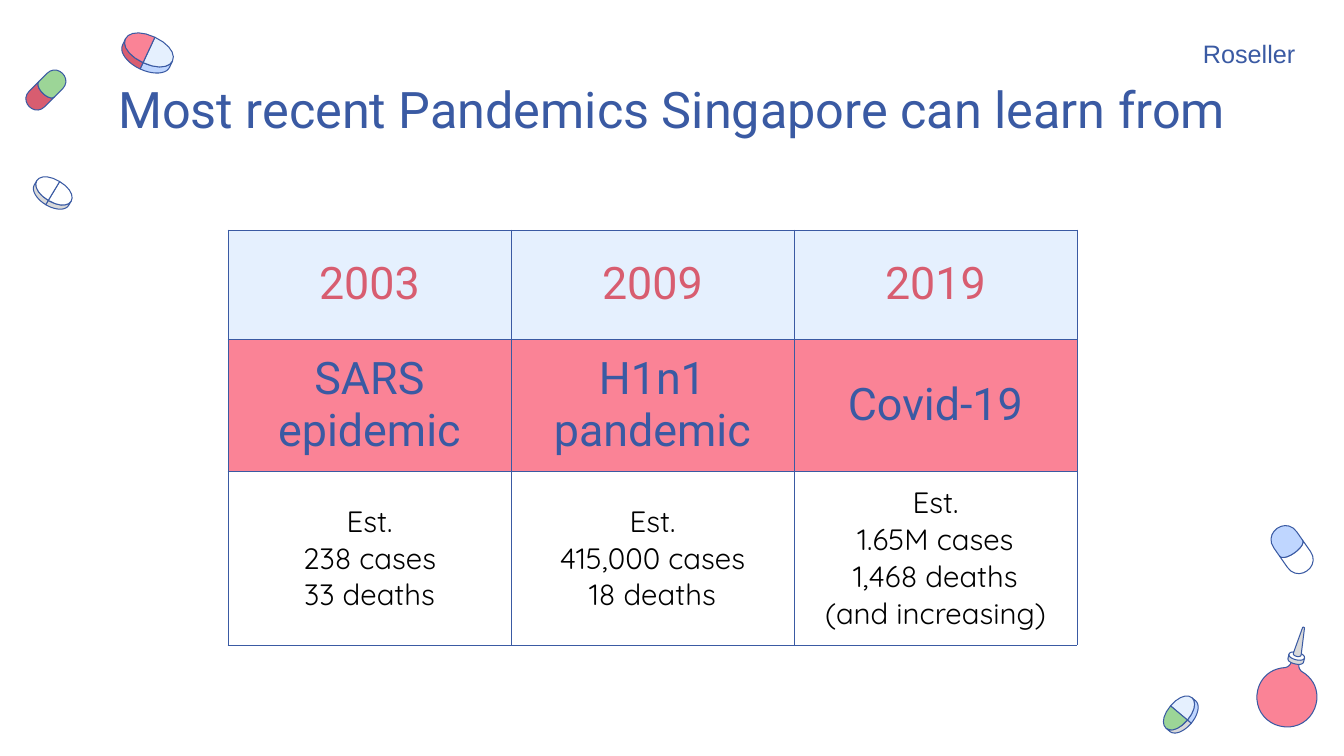
import math

from lxml import etree
from pptx import Presentation
from pptx import util as u
from pptx.dml.color import RGBColor
from pptx.enum import text
from pptx.oxml import ns

NAVY = RGBColor(0x3A, 0x5A, 0xA3)
PINK = RGBColor(0xFA, 0x83, 0x96)
ROSE = RGBColor(0xD8, 0x5D, 0x70)
PALE = RGBColor(0xE5, 0xF0, 0xFE)
SKY = RGBColor(0xBF, 0xD6, 0xFF)
GREEN = RGBColor(0x9C, 0xD5, 0x97)
GREY = RGBColor(0xD9, 0xD9, 0xD9)
WHITE = RGBColor(0xFF, 0xFF, 0xFF)
BLACK = RGBColor(0, 0, 0)

TITLE = "Most recent Pandemics Singapore can learn from"
AUTHOR = "Roseller"
PANDEMICS = [
    ("2003", "SARS epidemic", "Est.\n238 cases\n33 deaths"),
    ("2009", "H1n1 pandemic", "Est.\n415,000 cases\n18 deaths"),
    ("2019", "Covid-19", "Est.\n1.65M cases\n1,468 deaths\n(and increasing)"),
]
# height, fill, font, size, text colour
ROWS = [
    (109, PALE, "Roboto", 32, ROSE),
    (132, PINK, "Roboto", 32, NAVY),
    (174, None, "Quicksand", 21, BLACK),
]
COLUMN_WIDTH, CELL_MARGIN = 283, 13

# centre, angle, half length, half height, depth, (face, side) right and left
TABLETS = [
    ((149, 50), 25, 26, 14, 7, (PALE, SKY), (PINK, ROSE)),
    ((54, 191), 31, 20, 11, 5, (WHITE, GREY), (WHITE, GREY)),
    ((1179, 713), -50, 20, 11, 5, (PALE, SKY), (GREEN, GREY)),
]
# centre of seam, angle, half width, cap length, body length, cap and body fill
CAPSULES = [
    ((1291, 548), -35, 14, 10, 14, SKY, WHITE),
    ((47, 89), 45, 11, 11, 14, GREEN, ROSE),
]
# Each step is one point for a line or three points for a curve.
BULB_CENTRE, BULB_ANGLE = (1287, 697), 13.5
BULB_PARTS = [
    (PINK, (4, -35), [
        [(4, -32), (6, -29), (9, -28)], [(22, -24), (30, -13), (30, 0)],
        [(30, 17), (17, 30), (0, 30)], [(-17, 30), (-30, 17), (-30, 0)],
        [(-30, -13), (-22, -24), (-9, -28)], [(-6, -29), (-4, -32), (-4, -35)],
    ]),
    (GREY, (-8, -42), [
        [(-8, -38)], [(-8, -35), (-4, -34), (0, -34)],
        [(4, -34), (8, -35), (8, -38)], [(8, -42)],
        [(8, -39), (-8, -39), (-8, -42)],
    ]),
    (WHITE, (-8, -42), [
        [(-8, -47), (8, -47), (8, -42)], [(8, -37), (-8, -37), (-8, -42)],
    ]),
    (GREY, (-4, -44), [
        [(-1, -71)], [(-1, -72), (1, -72), (1, -71)], [(4, -44)],
        [(4, -41), (-4, -41), (-4, -44)],
    ]),
]
CURVE_PIECES = 10
QUARTER, HALF = 0.55, 4 / 3  # handle lengths of quarter and half ellipses


def px(length):
    return u.Emu(round(length * 914400 / 100.8))


def curve_points(start, first, second, end):
    for piece in range(1, CURVE_PIECES + 1):
        t = piece / CURVE_PIECES
        weights = ((1 - t) ** 3, 3 * t * (1 - t) ** 2, 3 * t * t * (1 - t), t ** 3)
        yield tuple(sum(w * p[axis] for w, p in zip(weights, (start, first, second, end)))
                    for axis in (0, 1))


def draw_outline(page, centre, angle, fill, start, steps):
    """Draw a closed outline given around (0, 0), turned and moved to centre."""
    points = [start]
    for step in steps:
        points += step if len(step) == 1 else curve_points(points[-1], *step)
    cos, sin = math.cos(math.radians(angle)), math.sin(math.radians(angle))
    placed = [(px(centre[0] + x * cos - y * sin), px(centre[1] + x * sin + y * cos))
              for x, y in points]
    builder = page.shapes.build_freeform(*placed[0])
    builder.add_line_segments(placed[1:], close=True)
    shape = builder.convert_to_shape()
    shape.shadow.inherit = False
    shape.fill.solid()
    shape.fill.fore_color.rgb = fill
    shape.line.color.rgb = NAVY
    shape.line.width = u.Pt(0.75)


def draw_tablet(page, centre, angle, length, height, depth, right, left):
    for x, (face, side) in ((length, right), (-length, left)):
        bottom = height + depth
        draw_outline(page, centre, angle, side, (x, 0), [
            [(x, QUARTER * height), (QUARTER * x, height), (0, height)],
            [(0, bottom)],
            [(QUARTER * x, bottom), (x, QUARTER * height + depth), (x, depth)],
        ])
        draw_outline(page, centre, angle, face, (0, -height), [
            [(HALF * x, -height), (HALF * x, height), (0, height)],
        ])


def draw_capsule(page, centre, angle, width, cap, body, cap_fill, body_fill):
    seam = [(-width, 8), (width, 8), (width, 0)]
    for fill, edge, tip in ((body_fill, body, body + HALF * width),
                            (cap_fill, -cap, -cap - HALF * width)):
        draw_outline(page, centre, angle, fill, (width, 0), [
            [(width, edge)], [(width, tip), (-width, tip), (-width, edge)],
            [(-width, 0)], seam,
        ])


def format_text(frame, font, size, colour, align):
    for para in frame.paragraphs:
        para.alignment = align
        for span in para.runs:
            span.font.name = font
            span.font.size = u.Pt(size)
            span.font.bold = False
            span.font.color.rgb = colour


def set_borders(cell):
    properties = cell._tc.get_or_add_tcPr()
    for side in ("a:lnL", "a:lnR", "a:lnT", "a:lnB"):
        line = etree.SubElement(properties, ns.qn(side), w=str(u.Pt(0.75)))
        paint = etree.SubElement(line, ns.qn("a:solidFill"))
        etree.SubElement(paint, ns.qn("a:srgbClr"), val=str(NAVY))


def add_pandemic_table(page):
    height = sum(row[0] for row in ROWS)
    frame = page.shapes.add_table(
        len(ROWS), len(PANDEMICS), px(228), px(230),
        px(COLUMN_WIDTH * len(PANDEMICS)), px(height))
    table = frame.table
    table.first_row = table.horz_banding = False
    for column in table.columns:
        column.width = px(COLUMN_WIDTH)
    for r, (row_height, fill, font, size, colour) in enumerate(ROWS):
        table.rows[r].height = px(row_height)
        for c, pandemic in enumerate(PANDEMICS):
            cell = table.cell(r, c)
            cell.text_frame.text = pandemic[r]
            format_text(cell.text_frame, font, size, colour, text.PP_ALIGN.CENTER)
            cell.vertical_anchor = text.MSO_ANCHOR.MIDDLE
            cell.margin_left = cell.margin_right = px(CELL_MARGIN)
            cell.margin_top = cell.margin_bottom = px(CELL_MARGIN)
            set_borders(cell)
            if fill is None:
                cell.fill.background()
            else:
                cell.fill.solid()
                cell.fill.fore_color.rgb = fill


def main():
    deck = Presentation()
    deck.slide_width, deck.slide_height = px(1344), px(756)
    page = deck.slides.add_slide(deck.slide_layouts[5])

    for tablet in TABLETS:
        draw_tablet(page, *tablet)
    for capsule in CAPSULES:
        draw_capsule(page, *capsule)
    for part in BULB_PARTS:
        draw_outline(page, BULB_CENTRE, BULB_ANGLE, *part)

    title = page.shapes.title
    title.left, title.top, title.width, title.height = px(106), px(66), px(1132), px(85)
    frame = title.text_frame
    frame.text = TITLE
    frame.auto_size = text.MSO_AUTO_SIZE.NONE
    frame.vertical_anchor = text.MSO_ANCHOR.MIDDLE
    frame.margin_left = frame.margin_right = frame.margin_top = frame.margin_bottom = 0
    format_text(frame, "Roboto", 36, NAVY, text.PP_ALIGN.CENTER)

    add_pandemic_table(page)

    box = page.shapes.add_textbox(px(1193), px(33), px(122), px(42))
    box.text_frame.word_wrap = True
    box.text_frame.text = AUTHOR
    format_text(box.text_frame, "Arial", 18, NAVY, text.PP_ALIGN.LEFT)

    deck.save("out.pptx")


if __name__ == "__main__":
    main()
